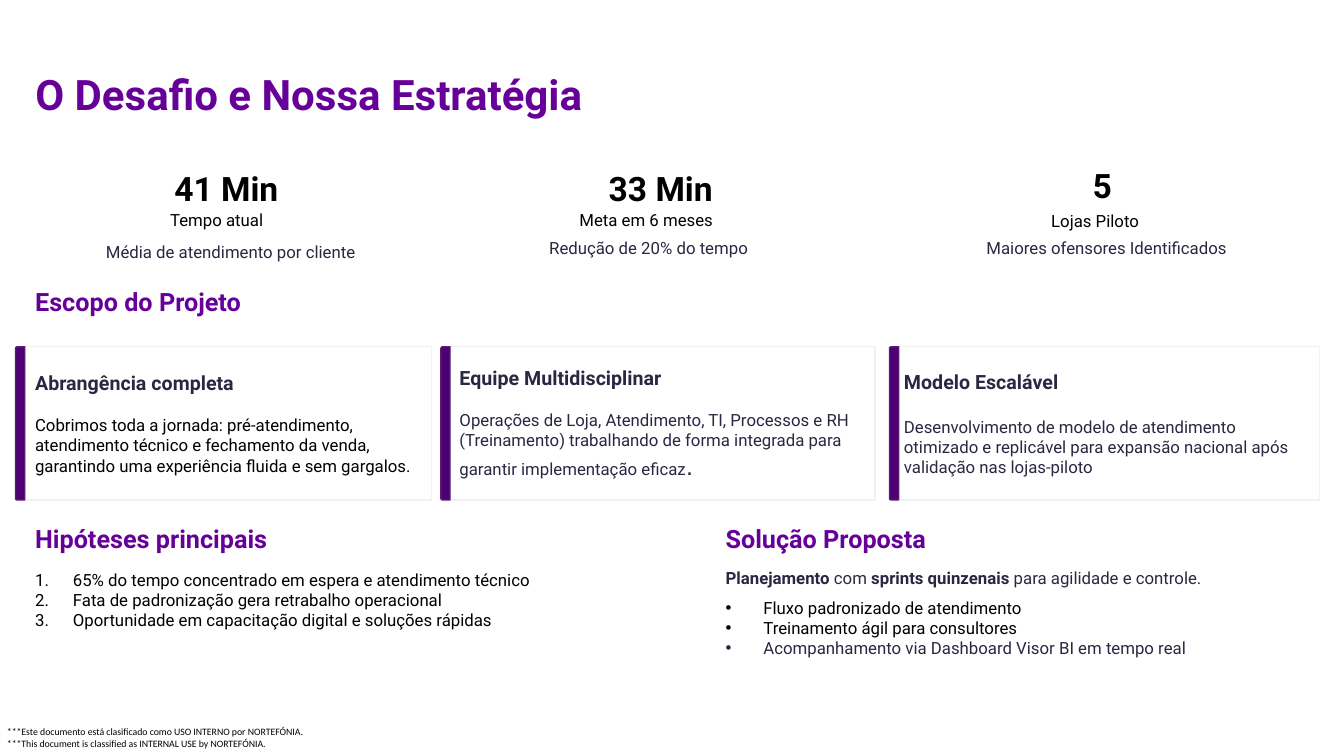
from dataclasses import dataclass

import pptx
import pptx.dml.color
import pptx.enum.shapes
import pptx.enum.text
import pptx.oxml.ns
import pptx.util
from lxml import etree

Pt = pptx.util.Pt
ALIGN = pptx.enum.text.PP_ALIGN
ANCHOR = pptx.enum.text.MSO_ANCHOR
SHAPES = pptx.enum.shapes.MSO_SHAPE

PURPLE, INK, BLACK = "660099", "2A2742", "000000"
CARD_TOP, CARD_HEIGHT, BAR_THICKNESS = 247.7, 109.4, 6.5
LEFT_COLUMN, RIGHT_COLUMN = 18, 511.2


@dataclass
class Label:
    text: str
    left: float
    top: float
    width: float
    height: float = 21.6
    size: float = 12
    color: str = BLACK
    bold: bool = False
    align: ALIGN = ALIGN.LEFT


@dataclass
class Card:
    heading: str
    body: str
    left: float
    width: float
    bar_center: float
    gap: float
    body_color: str = INK
    end_mark: str = ""


@dataclass
class BulletList:
    items: list[tuple[str, str]]
    left: float
    top: float
    height: float
    bullet_tag: str
    bullet_attribute: tuple[str, str]


def rgb(color: str) -> pptx.dml.color.RGBColor:
    return pptx.dml.color.RGBColor.from_string(color)


def format_run(run, size: float, color: str, bold: bool = False, font: str = "Roboto") -> None:
    run.font.name = font
    run.font.size = Pt(size)
    run.font.bold = bold
    run.font.color.rgb = rgb(color)


def add_frame(slide, left: float, top: float, width: float, height: float):
    frame = slide.shapes.add_textbox(Pt(left), Pt(top), Pt(width), Pt(height)).text_frame
    frame.word_wrap = True
    return frame


def add_block(slide, kind, left: float, top: float, width: float, height: float,
              fill: str, line: str):
    block = slide.shapes.add_shape(kind, Pt(left), Pt(top), Pt(width), Pt(height))
    block.shadow.inherit = False
    block.fill.solid()
    block.fill.fore_color.rgb = rgb(fill)
    block.line.color.rgb = rgb(line)
    block.line.width = Pt(1)
    return block


def add_label(slide, label: Label) -> None:
    frame = add_frame(slide, label.left, label.top, label.width, label.height)
    frame.text = label.text
    frame.paragraphs[0].alignment = label.align
    format_run(frame.paragraphs[0].runs[0], label.size, label.color, label.bold)


def add_card(slide, card: Card) -> None:
    panel = add_block(slide, SHAPES.RECTANGLE, card.left, CARD_TOP, card.width, CARD_HEIGHT,
                      "FFFFFF", "F1F1F1")
    frame = panel.text_frame
    frame.word_wrap = True
    frame.vertical_anchor = ANCHOR.MIDDLE
    frame.text = f"{card.heading}\n{card.body}"
    heading, body = frame.paragraphs
    heading.alignment = body.alignment = ALIGN.LEFT
    body.space_before = Pt(card.gap)
    format_run(heading.runs[0], 14, INK, True)
    format_run(body.runs[0], 12, card.body_color)
    if card.end_mark:
        mark = body.add_run()
        mark.text = card.end_mark
        format_run(mark, 18, INK, font="Arial")


def add_bar(slide, card: Card) -> None:
    bar = add_block(slide, SHAPES.ROUND_2_SAME_RECTANGLE, card.bar_center - CARD_HEIGHT / 2,
                    CARD_TOP + (CARD_HEIGHT - BAR_THICKNESS) / 2, CARD_HEIGHT, BAR_THICKNESS,
                    "4D0073", "591C70")
    bar.rotation = 270


def add_bullet_list(slide, bullets: BulletList) -> None:
    frame = add_frame(slide, bullets.left, bullets.top, 377.3, bullets.height)
    frame.text = "\n".join(text for text, _ in bullets.items)
    for paragraph, (_, color) in zip(frame.paragraphs, bullets.items):
        properties = paragraph._p.get_or_add_pPr()
        properties.set("marL", str(Pt(27)))
        properties.set("indent", str(-Pt(27)))
        font = etree.SubElement(properties, pptx.oxml.ns.qn("a:buFont"))
        font.set("typeface", "Arial" if bullets.bullet_tag == "a:buChar" else "Roboto")
        bullet = etree.SubElement(properties, pptx.oxml.ns.qn(bullets.bullet_tag))
        bullet.set(*bullets.bullet_attribute)
        format_run(paragraph.runs[0], 12, color)


def metric(value: Label, caption: Label, detail: Label) -> list[Label]:
    value.size, value.bold, value.height = 24, True, 36
    detail.color, detail.align = INK, ALIGN.CENTER
    return [value, caption, detail]


def section(text: str, left: float, top: float) -> Label:
    return Label(text, left, top, 303.8, 28.8, 18, PURPLE, True)


METRICS = [
    metric(Label("41 Min", 117.4, 116.6, 90.7), Label("Tempo atual", 114.5, 146.2, 90.7),
           Label("Média de atendimento por cliente", 47.5, 169.2, 234.7)),
    metric(Label("33 Min", 427.7, 116.6, 90.7), Label("Meta em 6 meses", 406.8, 146.2, 132.5),
           Label("Redução de 20% do tempo", 346, 166.5, 234.7)),
    metric(Label("5", 773.3, 114.5, 34.6), Label("Lojas Piloto", 743.8, 146.9, 98.6),
           Label("Maiores ofensores Identificados", 673.2, 166.5, 234.7)),
]
SECTIONS = [
    section("Escopo do Projeto", LEFT_COLUMN, 200.9),
    section("Hipóteses principais", LEFT_COLUMN, 370),
    section("Solução Proposta", RIGHT_COLUMN, 370),
]
CARDS = [
    Card("Abrangência completa",
         "Cobrimos toda a jornada: pré-atendimento, atendimento técnico e fechamento da venda, "
         "garantindo uma experiência fluida e sem gargalos.", 18, 290.2, 14.4, 14.5, BLACK),
    Card("Equipe Multidisciplinar",
         "Operações de Loja, Atendimento, TI, Processos e RH (Treinamento) trabalhando de forma "
         "integrada para garantir implementação eficaz", 321.1, 303.8, 318.2, 14.5, end_mark="."),
    Card("Modelo Escalável",
         "Desenvolvimento de modelo de atendimento otimizado e replicável para expansão nacional "
         "após validação nas lojas-piloto", 638.6, 303.8, 638.6, 16.5),
]
LISTS = [
    BulletList([("65% do tempo concentrado em espera e atendimento técnico", BLACK),
                ("Fata de padronização gera retrabalho operacional", BLACK),
                ("Oportunidade em capacitação digital e soluções rápidas", BLACK)],
               LEFT_COLUMN, 403.2, 51.1, "a:buAutoNum", ("type", "arabicPeriod")),
    BulletList([("Fluxo padronizado de atendimento", BLACK),
                ("Treinamento ágil para consultores", BLACK),
                ("Acompanhamento via Dashboard Visor BI em tempo real", INK)],
               RIGHT_COLUMN, 423.4, 65.5, "a:buChar", ("char", "•")),
]
PLANNING = [("Planejamento ", True), ("com ", False), ("sprints quinzenais", True),
            (" para agilidade e controle.", False)]


def main() -> None:
    deck = pptx.Presentation()
    deck.slide_width, deck.slide_height = Pt(960), Pt(540)
    slide = deck.slides.add_slide(deck.slide_layouts[5])

    # Title
    title = slide.shapes.title
    title.left, title.top, title.width, title.height = Pt(18), Pt(49.7), Pt(465), Pt(44)
    title.text_frame.text = "O Desafio e Nossa Estratégia"
    title.text_frame.vertical_anchor = ANCHOR.TOP
    title.text_frame.auto_size = pptx.enum.text.MSO_AUTO_SIZE.NONE
    headline = title.text_frame.paragraphs[0]
    headline.alignment = ALIGN.LEFT
    headline.line_spacing = 0.9
    format_run(headline.runs[0], 30, PURPLE, True)

    # Scope cards, with the bars over their left edges
    for card in CARDS:
        add_card(slide, card)
    for card in CARDS:
        add_bar(slide, card)

    # Metrics and section headings
    for label in [*sum(METRICS, []), *SECTIONS]:
        add_label(slide, label)

    # Hypotheses and proposed solution
    for bullets in LISTS:
        add_bullet_list(slide, bullets)
    planning = add_frame(slide, RIGHT_COLUMN, 401.8, 423.4, 21.6).paragraphs[0]
    for text, bold in PLANNING:
        part = planning.add_run()
        part.text = text
        format_run(part, 12, INK, bold)

    # Classification notice
    notice = add_frame(slide, 5, 518.4, 213.1, 16.6)
    notice.margin_left = notice.margin_right = notice.margin_top = notice.margin_bottom = 0
    notice.text = ("***Este documento está clasificado como USO INTERNO por NORTEFÓNIA.\v"
                   "***This document is classified as INTERNAL USE by NORTEFÓNIA.")
    for run in notice.paragraphs[0].runs:
        format_run(run, 7, BLACK, font="Calibri")

    deck.save("out.pptx")


if __name__ == "__main__":
    main()
